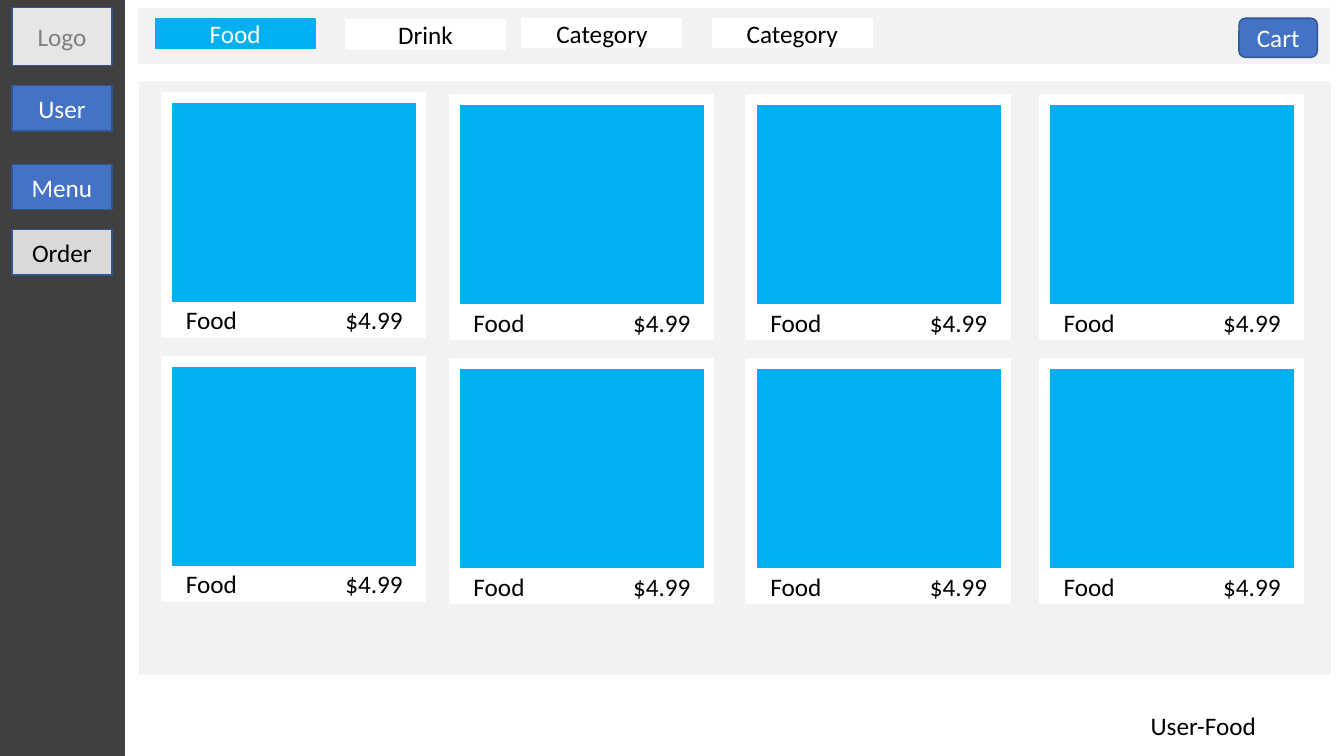
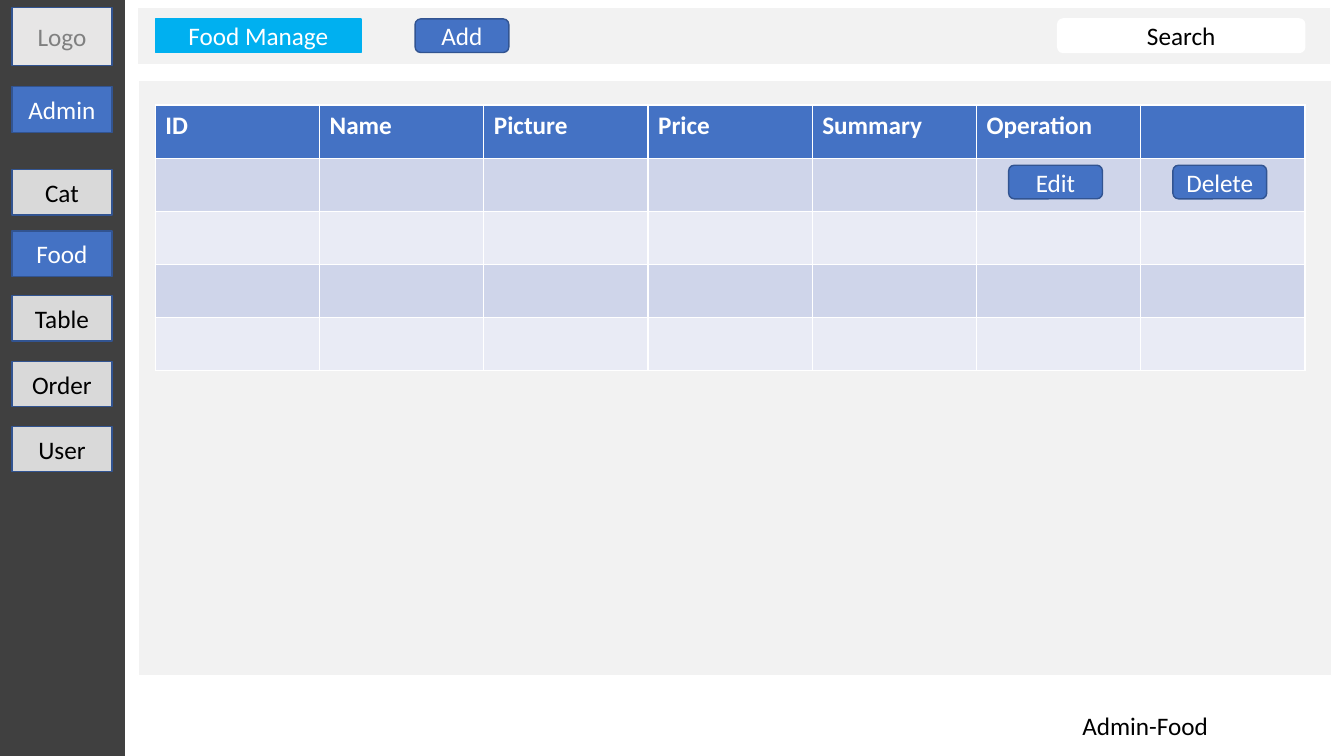
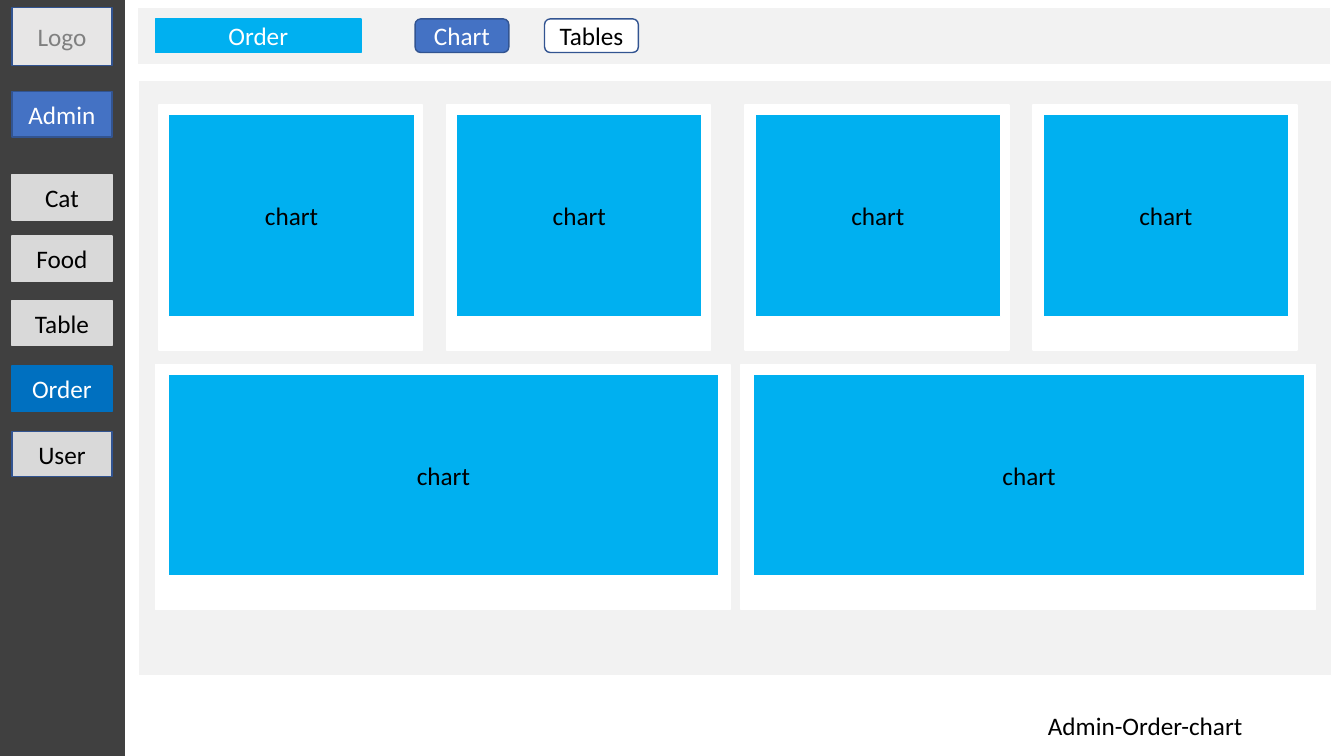
"""Build three wireframe slides of a food ordering system: menu, food admin and order charts."""
import pptx
import pptx.dml.color
import pptx.enum.shapes
import pptx.enum.text
import pptx.oxml
import pptx.oxml.ns
import pptx.util

Pt = pptx.util.Pt
RECTANGLE = pptx.enum.shapes.MSO_SHAPE.RECTANGLE
ROUNDED = pptx.enum.shapes.MSO_SHAPE.ROUNDED_RECTANGLE
CENTER = pptx.enum.text.PP_ALIGN.CENTER
LEFT = pptx.enum.text.PP_ALIGN.LEFT

FONT, FONT_SIZE = "Calibri", 18
WHITE, BLACK, BLUE = "FFFFFF", "000000", "4472C4"

# style name: fill, line, text
STYLES = {
    "sidebar": ("404040", "404040", WHITE),
    "panel": ("F2F2F2", WHITE, BLACK),
    "logo": ("E7E6E6", "325491", "808080"),
    "primary": (BLUE, "325491", WHITE),
    "menu": ("D9D9D9", "325491", BLACK),
    "flat menu": ("D9D9D9", "D9D9D9", BLACK),
    "current menu": ("0070C0", "0070C0", WHITE),
    "heading": ("00B0F0", "00B0F0", WHITE),
    "picture": ("00B0F0", WHITE, BLACK),
    "plain": (WHITE, WHITE, BLACK),
    "outlined": (WHITE, "325491", BLACK),
}

SIDEBAR = (0, 0, 88.5, 540)
TOOLBAR = (98, 5.3, 852.5, 41)
CONTENT = (98.6, 57.6, 852.5, 425)
LOGO = (8.5, 5.3, 71.5, 41.5)
BUTTON_LEFT, BUTTON_WIDTH, BUTTON_HEIGHT = 8.5, 71.5, 32.5
ADMIN_OFFSETS = (59.2, 103, 149, 196, 242.5)
CARD_HEIGHT, PICTURE_HEIGHT = 175, 144

SCREENS = [
    {
        "caption": ("User-Food", 786, 147),
        "account": ("User", 61),
        "menu": [("Menu", 56.3, "primary"), ("Order", 103, "menu")],
        "toolbar": [
            (RECTANGLE, "Food", (111, 13.5, 114, 21), "heading"),
            (RECTANGLE, "Drink", (247, 14.3, 114, 21), "plain"),
            (RECTANGLE, "Category", (373, 13, 114, 21), "plain"),
            (RECTANGLE, "Category", (509, 13, 114, 21), "plain"),
            (ROUNDED, "Cart", (885, 13, 56, 28), "primary"),
        ],
    },
    {
        "caption": ("Admin-Food", 703, 230),
        "account": ("Admin", 62),
        "menu": list(zip(("Cat", "Food", "Table", "Order", "User"), ADMIN_OFFSETS,
                         ("menu", "primary", "menu", "menu", "menu"))),
        "toolbar": [
            (RECTANGLE, "Food Manage", (111, 13.5, 147, 24), "heading"),
            (ROUNDED, "Add", (296.5, 13.5, 67, 24), "primary"),
            (ROUNDED, "Search", (755.5, 13.5, 176.5, 24), "plain"),
        ],
    },
    {
        "caption": ("Admin-Order-chart", 703, 230),
        "account": ("Admin", 65.5),
        "menu": list(zip(("Cat", "Food", "Table", "Order", "User"), ADMIN_OFFSETS,
                         ("flat menu", "flat menu", "flat menu", "current menu", "menu"))),
        "toolbar": [
            (RECTANGLE, "Order", (111, 13.5, 147, 24), "heading"),
            (ROUNDED, "Chart", (296.5, 13.5, 67, 24), "primary"),
            (ROUNDED, "Tables", (389, 13.5, 67, 24), "outlined"),
        ],
    },
]

FOOD_COLUMNS = [(115.5, 66), (321, 67.5), (533, 67.5), (742.5, 67.5)]
FOOD_ROW_PITCH = 188.6
FOOD_LABEL = "Food\t$4.99"
PRICE_TAB = 114
CHART_CARDS = [(left, 75, 188.5, 7) for left in (113.5, 319, 532.3, 738)]
CHART_CARDS += [(left, 260.5, 410.5, 9) for left in (111, 529.3)]
TABLE_HEADERS = ("ID", "Name", "Picture", "Price", "Summary", "Operation", "")
TABLE_ROWS, TABLE_LEFT, TABLE_TOP = 5, 111, 75
COLUMN_WIDTH, ROW_HEIGHT = 117.3, 38
BAND_FILLS = ("E9EBF5", "CFD5EA")
ROW_BUTTONS = [("Edit", 5), ("Delete", 6)]


def color(value):
    """Return the colour for a hex string."""
    return pptx.dml.color.RGBColor.from_string(value)


def box(lengths):
    """Convert left, top, width and height to point lengths."""
    return [Pt(length) for length in lengths]


def write(text_frame, text, text_color, alignment=CENTER, bold=False):
    """Put one formatted paragraph in a text frame."""
    text_frame.text = text
    paragraph = text_frame.paragraphs[0]
    paragraph.alignment = alignment
    for run in paragraph.runs:
        run.font.name = FONT
        run.font.size = Pt(FONT_SIZE)
        run.font.bold = bold
        run.font.color.rgb = color(text_color)
    return paragraph


def add_box(slide, lengths, style, text="", geometry=RECTANGLE, alignment=CENTER):
    """Add a styled shape, with text if there is any."""
    fill, line, text_color = STYLES[style]
    shape = slide.shapes.add_shape(geometry, *box(lengths))
    shape.shadow.inherit = False
    shape.fill.solid()
    shape.fill.fore_color.rgb = color(fill)
    shape.line.color.rgb = color(line)
    shape.line.width = Pt(1)
    if text:
        write(shape.text_frame, text, text_color, alignment)
    return shape


def add_card(slide, left, top, width, margin, text=""):
    """Add a white card holding a picture area."""
    add_box(slide, (left, top, width, CARD_HEIGHT), "plain")
    picture = (left + margin, top + 7, width - 2 * margin + 1, PICTURE_HEIGHT)
    add_box(slide, picture, "picture", text)


def add_food_label(slide, left, top):
    """Add a dish name and its price on a tab stop."""
    label = add_box(slide, (left + 6, top + 150, 176, 25), "plain", FOOD_LABEL, alignment=LEFT)
    label.text_frame.margin_left = Pt(11.2)
    properties = label.text_frame.paragraphs[0]._p.get_or_add_pPr()
    tabs = pptx.oxml.ns.qn("a:tabLst")
    tab_list = properties.makeelement(tabs, {})
    tab = properties.makeelement(pptx.oxml.ns.qn("a:tab"), {"pos": str(Pt(PRICE_TAB)), "algn": "l"})
    tab_list.append(tab)
    properties.append(tab_list)


def add_food_grid(slide):
    """Add two rows of dishes."""
    for row in range(2):
        for left, first_top in FOOD_COLUMNS:
            top = first_top + row * FOOD_ROW_PITCH
            add_card(slide, left, top, 188.5, 7)
            add_food_label(slide, left, top)


def add_food_table(slide):
    """Add the food table and the buttons in its first row."""
    size = (COLUMN_WIDTH * len(TABLE_HEADERS), ROW_HEIGHT * TABLE_ROWS)
    frame = slide.shapes.add_table(TABLE_ROWS, len(TABLE_HEADERS),
                                   *box((TABLE_LEFT, TABLE_TOP) + size))
    table = frame.table
    for column in table.columns:
        column.width = Pt(COLUMN_WIDTH)
    for index, row in enumerate(table.rows):
        row.height = Pt(ROW_HEIGHT)
        for cell in row.cells:
            cell.fill.solid()
            cell.fill.fore_color.rgb = color(BAND_FILLS[index % 2] if index else BLUE)
    for cell, header in zip(table.rows[0].cells, TABLE_HEADERS):
        write(cell.text_frame, header, WHITE, LEFT, True)
    for text, column in ROW_BUTTONS:
        left = TABLE_LEFT + column * COLUMN_WIDTH + 23
        add_box(slide, (left, TABLE_TOP + ROW_HEIGHT + 5, 67, 24), "primary", text, ROUNDED)


def add_chart_cards(slide):
    """Add the cards that reserve room for charts."""
    for card in CHART_CARDS:
        add_card(slide, *card, "chart")


def add_screen(presentation, screen):
    """Add a slide with the sidebar, toolbar, content panel and caption."""
    slide = presentation.slides.add_slide(presentation.slide_layouts[6])
    add_box(slide, SIDEBAR, "sidebar")
    add_box(slide, TOOLBAR, "panel")
    add_box(slide, CONTENT, "panel")
    add_box(slide, LOGO, "logo", "Logo")
    account, account_top = screen["account"]
    for text, offset, style in [(account, 0, "primary")] + screen["menu"]:
        button = (BUTTON_LEFT, account_top + offset, BUTTON_WIDTH, BUTTON_HEIGHT)
        add_box(slide, button, style, text)
    for geometry, text, lengths, style in screen["toolbar"]:
        add_box(slide, lengths, style, text, geometry)
    text, left, width = screen["caption"]
    caption = slide.shapes.add_textbox(*box((left, 504, width, 29)))
    caption.text_frame.word_wrap = True
    write(caption.text_frame, text, BLACK)
    return slide


def main():
    """Build and save the presentation."""
    presentation = pptx.Presentation()
    presentation.slide_width, presentation.slide_height = Pt(960), Pt(540)
    for screen, add_content in zip(SCREENS, (add_food_grid, add_food_table, add_chart_cards)):
        add_content(add_screen(presentation, screen))
    presentation.save("out.pptx")


if __name__ == "__main__":
    main()
